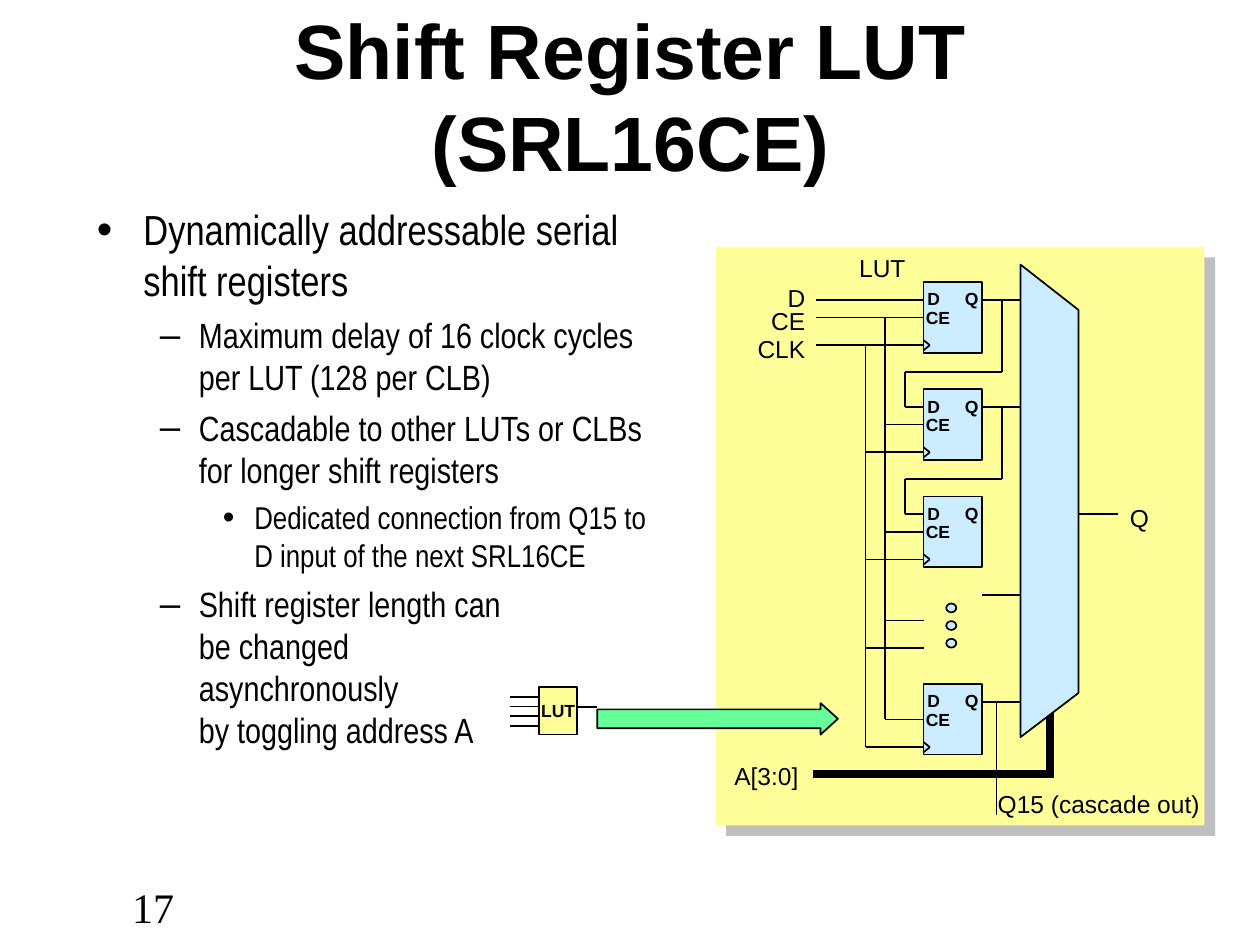
from dataclasses import dataclass

from lxml.etree import SubElement
from pptx import Presentation
from pptx.dml.color import RGBColor
from pptx.enum.shapes import MSO_CONNECTOR, MSO_SHAPE
from pptx.enum.text import MSO_ANCHOR, PP_ALIGN
from pptx.oxml.ns import qn
from pptx.util import Inches, Pt

UNIT = 0.1  # grid of 100 columns by 75 rows, in inches
COLUMNS, ROWS = 100, 75


@dataclass(frozen=True)
class Theme:
    ink: str = "000000"
    panel: str = "FFFF99"
    logic: str = "CCECFF"
    arrow: str = "66FF99"
    shadow: str = "808080"
    heading_font: str = "Arial"
    body_font: str = "Arial Narrow"
    number_font: str = "Times New Roman"
    title: int = 44
    number: int = 24
    label: int = 14
    pin: int = 10
    wire: float = 1
    thin_wire: float = 0.75
    bus: float = 4.5


THEME = Theme()

# Per level: text size, indent, hanging width (columns), space before, bullet
LEVELS = [(24, 3.7, 3.7, 6, "•"), (20, 8.1, 3.1, 5, "–"), (18, 12.5, 2.5, 4.5, "•")]
BULLETS = [
    (0, ["Dynamically addressable serial shift registers"]),
    (1, ["Maximum delay of 16 clock cycles per LUT (128 per CLB)"]),
    (1, ["Cascadable to other LUTs or CLBs for longer shift registers"]),
    (2, ["Dedicated connection from Q15 to D input of the next SRL16CE"]),
    (1, ["Shift register length can ", "be changed ", "asynchronously ",
         "by toggling address A"]),
]

# Columns of the circuit and row offsets inside a register
INPUT_X, CLK_X, CE_X, FEED_X = 64.8, 68.7, 70.25, 71.8
REG_X, REG_W, REG_H = 73.3, 4.65, 5.6
TAP_X, MUX_X, MUX_RIGHT = 79.5, 81, 85.6
D_ROW, CE_ROW, CLK_ROW = 1.4, 2.8, 5
FIRST_ROW, PITCH, LAST_ROW, OMITTED_ROW = 22.4, 8.5, 54.3, 46.45
REGISTER_ROWS = [FIRST_ROW + PITCH * i for i in range(3)] + [LAST_ROW]


def grid(*lengths):
    return [Inches(length * UNIT) for length in lengths]


def style_font(font, size, name, bold=False):
    font.size, font.name, font.bold = Pt(size), name, bold
    font.color.rgb = RGBColor.from_string(THEME.ink)


def block(shapes, kind, box, fill, outlined=True):
    shape = shapes.add_shape(kind, *grid(*box))
    paint(shape, fill, outlined)
    return shape


def paint(shape, fill, outlined=True):
    shape.shadow.inherit = False
    shape.fill.solid()
    shape.fill.fore_color.rgb = RGBColor.from_string(fill)
    if outlined:
        shape.line.color.rgb = RGBColor.from_string(THEME.ink)
        shape.line.width = Pt(THEME.wire)
    else:
        shape.line.fill.background()


def wire(shapes, *points, weight=THEME.wire):
    for start, end in zip(points, points[1:]):
        segment = shapes.add_connector(MSO_CONNECTOR.STRAIGHT, *grid(*start, *end))
        segment.line.color.rgb = RGBColor.from_string(THEME.ink)
        segment.line.width = Pt(weight)
        SubElement(segment._element.spPr, qn("a:effectLst"))


def text(shapes, words, box, size, name=THEME.heading_font, bold=False,
         align=PP_ALIGN.LEFT, wrap=True, anchor=MSO_ANCHOR.TOP):
    frame = shapes.add_textbox(*grid(*box)).text_frame
    frame.word_wrap, frame.vertical_anchor = wrap, anchor
    paragraph = frame.paragraphs[0]
    paragraph.text, paragraph.alignment = words, align
    style_font(paragraph.font, size, name, bold)


def bullet_list(shapes, box):
    frame = shapes.add_textbox(*grid(*box)).text_frame
    frame.word_wrap = True
    for i, (level, lines) in enumerate(BULLETS):
        size, indent, hanging, before, mark = LEVELS[level]
        paragraph = frame.add_paragraph() if i else frame.paragraphs[0]
        for n, line in enumerate(lines):
            if n:
                paragraph.add_line_break()
            paragraph.add_run().text = line
        paragraph.level = level
        if i:
            paragraph.space_before = Pt(before)
        properties = paragraph._p.get_or_add_pPr()
        left, hang = grid(indent, hanging)
        properties.set("marL", str(left))
        properties.set("indent", str(-hang))
        colour = SubElement(properties, qn("a:buClr"))
        SubElement(colour, qn("a:srgbClr"), val=THEME.ink)
        SubElement(properties, qn("a:buSzPct"), val="105000")
        SubElement(properties, qn("a:buFont"), typeface=THEME.heading_font)
        SubElement(properties, qn("a:buChar"), char=mark)
        style_font(paragraph.font, size, THEME.body_font)


def shadowed_panel(shapes, box):
    panel = block(shapes, MSO_SHAPE.RECTANGLE, box, THEME.panel, outlined=False)
    effects = panel._element.spPr.find(qn("a:effectLst"))
    shadow = SubElement(effects, qn("a:outerShdw"), dist=str(Pt(8.5)),
                        dir=str(45 * 60000), algn="tl", rotWithShape="0")
    colour = SubElement(shadow, qn("a:srgbClr"), val=THEME.shadow)
    SubElement(colour, qn("a:alpha"), val="50000")


def lut_symbol(shapes):
    symbol = shapes.add_group_shape().shapes
    box = block(symbol, MSO_SHAPE.RECTANGLE, (42.8, 54.5, 3, 3.8), THEME.panel)
    box.text_frame.word_wrap = False
    label = box.text_frame.paragraphs[0]
    label.text, label.alignment = "LUT", PP_ALIGN.CENTER
    style_font(label.font, THEME.pin, THEME.heading_font, bold=True)
    for i in range(4):
        row = 55.3 + 0.77 * i
        wire(symbol, (42.8, row), (40.5, row))
    wire(symbol, (47.4, 56.1), (45.8, 56.1))


def register(shapes, top):
    parts = shapes.add_group_shape().shapes
    block(parts, MSO_SHAPE.RECTANGLE, (REG_X, top, REG_W, REG_H), THEME.logic)
    for name, left, row, width, align in [
            ("D", 72.55, 0, 3.1, PP_ALIGN.CENTER), ("Q", 75.6, 0, 3.1, PP_ALIGN.LEFT),
            ("CE", 71.8, 1.45, 5.3, PP_ALIGN.CENTER)]:
        text(parts, name, (left, top + row, width, 2.7), THEME.pin, bold=True,
             align=align, wrap=align == PP_ALIGN.CENTER)
    clock = top + CLK_ROW
    wire(parts, (REG_X, clock - 0.4), (REG_X + 0.5, clock), (REG_X, clock + 0.4))


def multiplexer(shapes):
    corners = [(MUX_X, 58.5), (MUX_X, 21), (MUX_RIGHT, 24.6), (MUX_RIGHT, 55)]
    start, *others = [grid(*corner) for corner in corners]
    outline = shapes.build_freeform(*start, scale=1.0)
    outline.add_line_segments(others, close=True)
    paint(outline.convert_to_shape(), THEME.logic)


def wiring(shapes):
    # Clock and enable rails with a branch to each stage
    for rail, offset in [(CE_X, CE_ROW), (CLK_X, CLK_ROW)]:
        wire(shapes, (rail, FIRST_ROW + offset), (rail, LAST_ROW + offset))
        for top in REGISTER_ROWS[1:] + [OMITTED_ROW]:
            wire(shapes, (rail, top + offset), (REG_X, top + offset))
    # External inputs
    for offset in (D_ROW, CE_ROW, CLK_ROW):
        wire(shapes, (INPUT_X, FIRST_ROW + offset), (REG_X, FIRST_ROW + offset))
    # Stage outputs to the multiplexer, including the omitted stages
    for row in [top + D_ROW for top in REGISTER_ROWS if top != REGISTER_ROWS[2]] + [47.2]:
        wire(shapes, (REG_X + REG_W, row), (MUX_X, row))
    # Each output feeds the next register
    for top in REGISTER_ROWS[:2]:
        output, turn, feed = top + D_ROW, top + 7.1, top + PITCH + D_ROW
        wire(shapes, (TAP_X, output), (TAP_X, turn), (FEED_X, turn),
             (FEED_X, feed), (REG_X, feed))


def circuit(shapes):
    shadowed_panel(shapes, (56.8, 19.6, 38.8, 45.9))
    lut_symbol(shapes)
    arrow = block(shapes, MSO_SHAPE.RIGHT_ARROW, (47.4, 55.8, 19.1, 2.5), THEME.arrow)
    arrow.adjustments[0], arrow.adjustments[1] = 0.6, 0.55
    wire(shapes, (83.35, 56.4), (83.35, 61.4), weight=THEME.bus)
    wire(shapes, (83.65, 61.4), (INPUT_X - 0.3, 61.4), weight=THEME.bus)
    multiplexer(shapes)
    wiring(shapes)
    for top in REGISTER_ROWS:
        register(shapes, top)
    for i in range(3):
        block(shapes, MSO_SHAPE.OVAL, (75.1, 47.9 + 1.4 * i, 0.8, 0.7), THEME.logic)
    wire(shapes, (MUX_RIGHT, 40.8), (88.7, 40.8))
    wire(shapes, (79.1, LAST_ROW + D_ROW), (79.1, 64.7), weight=THEME.thin_wire)
    # Signal names
    for name, left, top, width in [("LUT", 67.2, 19.6, 6.2), ("A[3:0]", 57.3, 59.9, 7.6),
                                   ("Q", 88.7, 39.4, 4),
                                   ("Q15 (cascade out)", 78.2, 62.1, 19)]:
        text(shapes, name, (left, top, width, 3.4), THEME.label)
    for name, top in [("D", 22), ("CE", 23.8), ("CLK", 26)]:
        text(shapes, name, (58.9, top, 6, 3.4), THEME.label, align=PP_ALIGN.RIGHT)


def main():
    deck = Presentation()
    deck.slide_width, deck.slide_height = grid(COLUMNS, ROWS)
    shapes = deck.slides.add_slide(deck.slide_layouts[6]).shapes
    text(shapes, "Shift Register LUT (SRL16CE)", (6.7, 2.1, 86.7, 10.8), THEME.title,
         bold=True, align=PP_ALIGN.CENTER, anchor=MSO_ANCHOR.MIDDLE)
    bullet_list(shapes, (6.7, 15.7, 45.8, 48.7))
    circuit(shapes)
    text(shapes, "17", (9.5, 69.5, 24.1, 2.3), THEME.number, THEME.number_font)
    deck.save("out.pptx")


if __name__ == "__main__":
    main()
